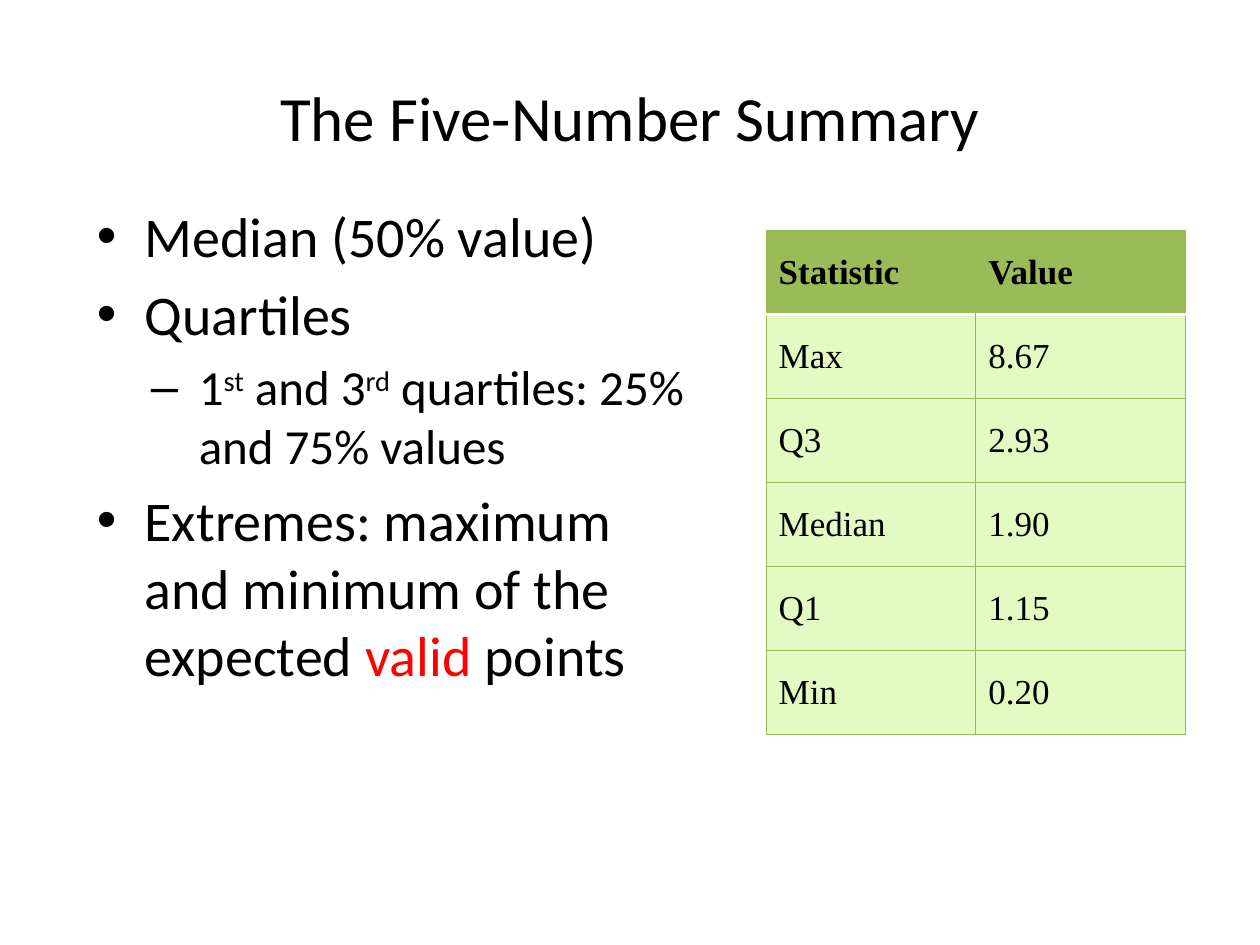
import dataclasses

import lxml.etree
import pptx
import pptx.dml.color
import pptx.enum.text
import pptx.oxml.ns
import pptx.util

Inches = pptx.util.Inches
Pt = pptx.util.Pt
qn = pptx.oxml.ns.qn


@dataclasses.dataclass(frozen=True)
class Theme:
    text_font: str = "Calibri"
    table_font: str = "Times New Roman"
    ink: str = "000000"
    accent: str = "FF0000"
    header_fill: str = "9BBB59"
    body_fill: str = "E3FBC2"
    grid: str = "98B955"
    header_rule: str = "FFFFFF"
    title_size: int = 36
    bullet_sizes: tuple = (32, 28)
    table_size: int = 20
    space_ratio: float = 0.2


THEME = Theme()

# Bullet character and text indent for each level
BULLETS = (("•", 0.38), ("–", 0.81))
HANGING = 0.38

# Each point: level, then (text, style) pairs
POINTS = (
    (0, [("Median (50% value)", "")]),
    (0, [("Quartiles", "")]),
    (1, [("1", ""), ("st", "super"), (" and 3", ""), ("rd", "super"),
         (" quartiles: 25% and 75% values", "")]),
    (0, [("Extremes: maximum and minimum of the expected ", ""),
         ("valid", "accent"), (" points", "")]),
)

STATISTICS = (
    ("Statistic", "Value"),
    ("Max", "8.67"),
    ("Q3", "2.93"),
    ("Median", "1.90"),
    ("Q1", "1.15"),
    ("Min", "0.20"),
)


def format_span(span, font, size, color=THEME.ink, bold=False):
    span.font.name = font
    span.font.size = Pt(size)
    span.font.bold = bold
    span.font.color.rgb = pptx.dml.color.RGBColor.from_string(color)


def add_box(page, left, top, width, height):
    box = page.shapes.add_textbox(
        Inches(left), Inches(top), Inches(width), Inches(height))
    box.text_frame.word_wrap = True
    return box.text_frame


def add_title(page, text):
    frame = add_box(page, 0.5, 0.3, 9, 1.25)
    frame.vertical_anchor = pptx.enum.text.MSO_ANCHOR.MIDDLE
    frame.text = text
    para = frame.paragraphs[0]
    para.alignment = pptx.enum.text.PP_ALIGN.CENTER
    format_span(para.runs[0], THEME.text_font, THEME.title_size)


def set_bullet(para, level):
    character, indent = BULLETS[level]
    properties = para._p.get_or_add_pPr()
    properties.set("marL", str(Inches(indent)))
    properties.set("indent", str(-Inches(HANGING)))
    lxml.etree.SubElement(properties, qn("a:buFont"), typeface="Arial")
    lxml.etree.SubElement(properties, qn("a:buChar"), char=character)


def add_points(page, points):
    frame = add_box(page, 0.67, 1.55, 4.9, 4.24)
    for index, (level, pieces) in enumerate(points):
        para = frame.add_paragraph() if index else frame.paragraphs[0]
        size = THEME.bullet_sizes[level]
        para.level = level
        para.space_before = Pt(size * THEME.space_ratio)
        set_bullet(para, level)
        for text, style in pieces:
            span = para.add_run()
            span.text = text
            color = THEME.accent if style == "accent" else THEME.ink
            format_span(span, THEME.text_font, size, color)
            if style == "super":
                span._r.get_or_add_rPr().set("baseline", "30000")


def set_border(cell, side, color, width):
    """Append one border; sides go in the order L, R, T, B, before the fill."""
    line = lxml.etree.SubElement(
        cell._tc.get_or_add_tcPr(), qn("a:ln" + side), w=str(Pt(width)))
    if color is None:
        lxml.etree.SubElement(line, qn("a:noFill"))
        return
    fill = lxml.etree.SubElement(line, qn("a:solidFill"))
    lxml.etree.SubElement(fill, qn("a:srgbClr"), val=color)


def format_cell(cell, text, is_header, row, column):
    # Borders: the header has no inner divider and a thick rule below it
    for side in "LRTB":
        color, width = THEME.grid, 0.75
        if (side == "B" and row == 0) or (side == "T" and row == 1):
            color, width = THEME.header_rule, 2
        elif is_header and (side, column) in (("R", 0), ("L", 1)):
            color = None
        set_border(cell, side, color, width)
    # Fill and text
    cell.fill.solid()
    cell.fill.fore_color.rgb = pptx.dml.color.RGBColor.from_string(
        THEME.header_fill if is_header else THEME.body_fill)
    cell.vertical_anchor = pptx.enum.text.MSO_ANCHOR.MIDDLE
    cell.text_frame.text = text
    para = cell.text_frame.paragraphs[0]
    para.space_before = Pt(THEME.table_size * THEME.space_ratio)
    format_span(para.runs[0], THEME.table_font, THEME.table_size, bold=is_header)


def add_statistics(page, rows):
    table = page.shapes.add_table(
        len(rows), len(rows[0]),
        Inches(6.08), Inches(1.83), Inches(3.33), Inches(4)).table
    table.horz_banding = False
    for row, values in enumerate(rows):
        for column, text in enumerate(values):
            format_cell(table.cell(row, column), text, row == 0, row, column)


def main():
    deck = pptx.Presentation()
    deck.slide_width, deck.slide_height = Inches(10), Inches(7.5)
    page = deck.slides.add_slide(deck.slide_layouts[6])
    add_points(page, POINTS)
    add_title(page, "The Five-Number Summary")
    add_statistics(page, STATISTICS)
    deck.save("out.pptx")


main()
